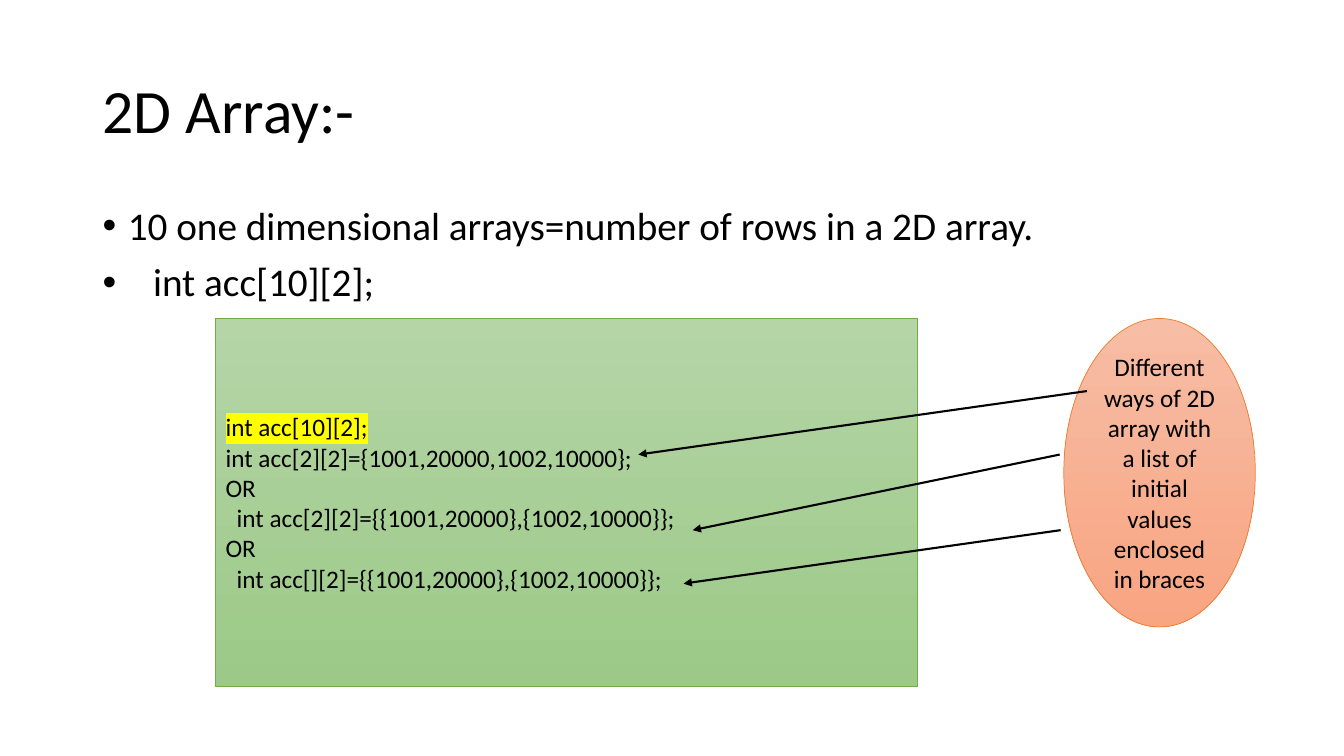
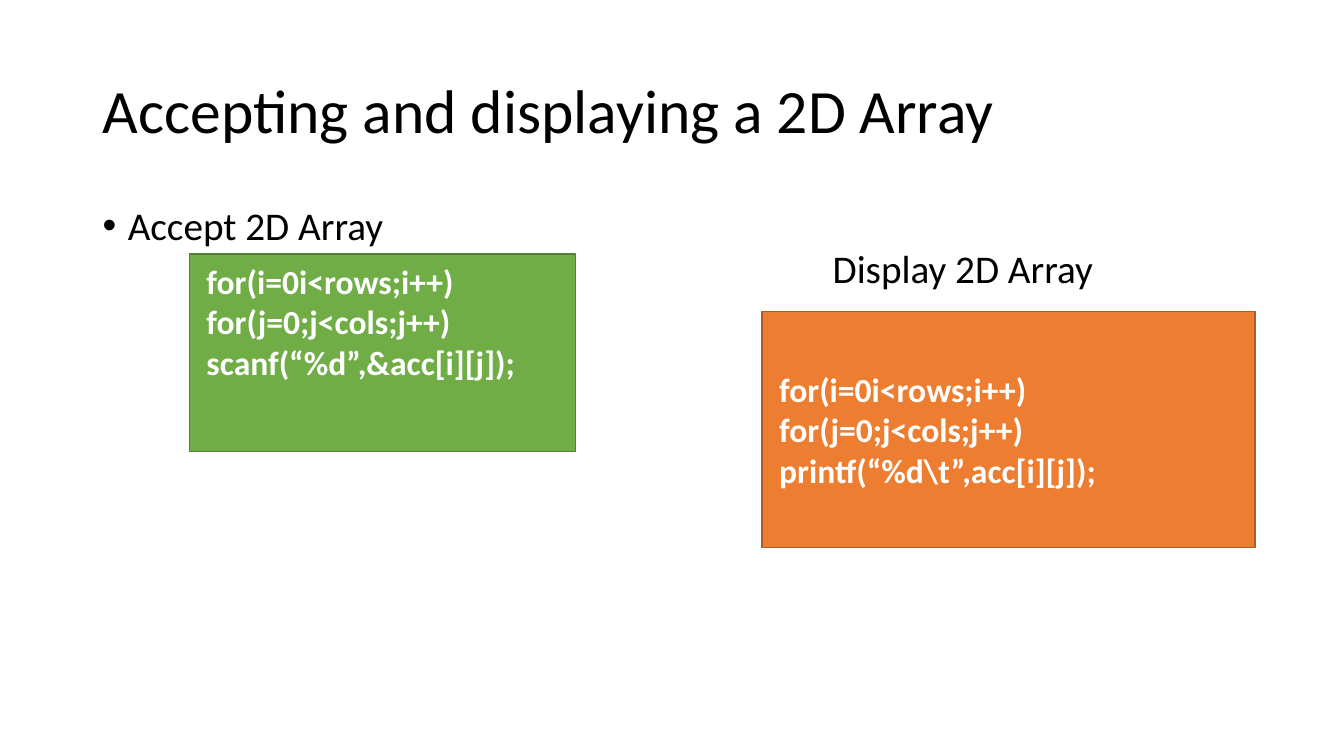
from dataclasses import dataclass

from lxml import etree
from pptx import Presentation
from pptx.dml.color import RGBColor
from pptx.enum import shapes, text
from pptx.oxml.ns import qn
from pptx.shapes.autoshape import Shape
from pptx.slide import Slide
from pptx.util import Emu, Inches, Pt


@dataclass(frozen=True)
class Theme:
    font: str = "Calibri"
    black: str = "000000"
    white: str = "FFFFFF"
    green: str = "70AD47"
    green_edge: str = "538035"
    green_fade: tuple[str, ...] = ("B5D5A7", "9CC987")
    orange: str = "ED7D31"
    orange_edge: str = "AF5C24"
    orange_fade: tuple[str, ...] = ("F7BDA5", "F8A582")
    highlight: str = "FFFF00"
    title: int = 44
    body: int = 28
    code: int = 24
    note: int = 18


@dataclass(frozen=True)
class Area:
    """Left, top, width and height in percent of the slide."""
    x: float
    y: float
    w: float
    h: float


@dataclass(frozen=True)
class Line:
    text: str
    indent: float = 0
    bullet: bool = False
    marked: bool = False


@dataclass(frozen=True)
class Style:
    size: int
    color: str = "000000"
    bold: bool = False
    align: text.PP_ALIGN = text.PP_ALIGN.LEFT
    spacing: float = 1
    before: int = 0


@dataclass(frozen=True)
class Panel:
    kind: shapes.MSO_SHAPE
    area: Area
    fill: tuple[str, ...]
    edge: str
    edge_width: float
    lines: tuple[Line, ...]
    style: Style
    anchor: text.MSO_ANCHOR = text.MSO_ANCHOR.MIDDLE
    top_inset: float = 0.05


@dataclass(frozen=True)
class Arrow:
    x1: float
    y1: float
    x2: float
    y2: float


T = Theme()
WIDTH, HEIGHT = Inches(13.33), Inches(7.5)
TITLE = Area(6.9, 5.33, 86.2, 19.33)
BODY = Area(6.9, 26.67, 86.2, 63.5)
HANG = 0.25
CODE_INDENT = 0.07
NOTE_INDENT = 0.11

TITLE_STYLE = Style(T.title, spacing=0.9)
BULLETS = Style(T.body, spacing=0.9, before=10)
LABEL = Style(T.body)
NOTE = Style(T.note)
CALLOUT = Style(T.note, align=text.PP_ALIGN.CENTER)
CODE = Style(T.code, T.white, bold=True)

INITIALISERS = Panel(
    shapes.MSO_SHAPE.RECTANGLE, Area(16.05, 42.13, 52.2, 48.67), T.green_fade, T.green, 0.5,
    (
        Line("int acc[10][2];", marked=True),
        Line("int acc[2][2]={1001,20000,1002,10000};"),
        Line("OR"),
        Line("int acc[2][2]={{1001,20000},{1002,10000}};", NOTE_INDENT),
        Line("OR"),
        Line("int acc[][2]={{1001,20000},{1002,10000}};", NOTE_INDENT),
    ), NOTE)
EXPLANATION = Panel(
    shapes.MSO_SHAPE.OVAL, Area(79.15, 42.13, 14.25, 40.8), T.orange_fade, T.orange, 0.5,
    (Line("Different ways of 2D array with a list of initial values enclosed in braces"),),
    CALLOUT)
ARROWS = (
    Arrow(80.87, 51.73, 47.49, 60.13),
    Arrow(78.85, 60.13, 51.54, 70.13),
    Arrow(78.92, 70.13, 50.86, 77.2),
)


def loop_lines(statement: str) -> tuple[Line, ...]:
    rows = ("for(i=0i<rows;i++)", "for(j=0;j<cols;j++)", statement)
    return tuple(Line(row, CODE_INDENT) for row in rows)


ACCEPT = Panel(
    shapes.MSO_SHAPE.RECTANGLE, Area(14.1, 33.6, 28.73, 26.13), (T.green,), T.green_edge, 1,
    loop_lines("scanf(“%d”,&acc[i][j]);"), CODE, text.MSO_ANCHOR.TOP, 0.07)
DISPLAY = Panel(
    shapes.MSO_SHAPE.RECTANGLE, Area(56.71, 41.2, 36.68, 31.2), (T.orange,), T.orange_edge, 1,
    loop_lines("printf(“%d\\t”,acc[i][j]);"), CODE)


def rgb(value: str) -> RGBColor:
    return RGBColor.from_string(value)


def across(share: float) -> Emu:
    return Emu(round(WIDTH * share / 100))


def down(share: float) -> Emu:
    return Emu(round(HEIGHT * share / 100))


def box(area: Area) -> tuple[Emu, Emu, Emu, Emu]:
    return across(area.x), down(area.y), across(area.w), down(area.h)


def highlight(r, color: str) -> None:
    mark = etree.Element(qn("a:highlight"))
    etree.SubElement(mark, qn("a:srgbClr"), val=color)
    r.font.fill._xPr.find(qn("a:solidFill")).addnext(mark)


def write(sp: Shape, lines: tuple[Line, ...], style: Style) -> None:
    tf = sp.text_frame
    tf.word_wrap = True
    tf.auto_size = text.MSO_AUTO_SIZE.NONE
    for i, line in enumerate(lines):
        p = tf.add_paragraph() if i else tf.paragraphs[0]
        p.alignment = style.align
        p.line_spacing = style.spacing
        p.space_before = Pt(style.before)
        props = p._p.get_or_add_pPr()
        props.set("marL", str(Inches(line.indent)))
        props.set("indent", str(-Inches(line.indent) if line.bullet else 0))
        if line.bullet:
            etree.SubElement(props, qn("a:buFont"), typeface="Arial")
            etree.SubElement(props, qn("a:buChar"), char="•")
        r = p.add_run()
        r.text = line.text
        r.font.name = T.font
        r.font.size = Pt(style.size)
        r.font.bold = style.bold
        r.font.color.rgb = rgb(style.color)
        if line.marked:
            highlight(r, T.highlight)


def add_text(s: Slide, area: Area, lines: tuple[Line, ...], style: Style) -> None:
    write(s.shapes.add_textbox(*box(area)), lines, style)


def add_panel(s: Slide, panel: Panel) -> None:
    sp = s.shapes.add_shape(panel.kind, *box(panel.area))
    sp.shadow.inherit = False
    if len(panel.fill) == 1:
        sp.fill.solid()
        sp.fill.fore_color.rgb = rgb(panel.fill[0])
    else:
        sp.fill.gradient()
        sp.fill.gradient_angle = 270
        for stop, color in zip(sp.fill.gradient_stops, panel.fill):
            stop.color.rgb = rgb(color)
    sp.line.color.rgb = rgb(panel.edge)
    sp.line.width = Pt(panel.edge_width)
    sp.text_frame.vertical_anchor = panel.anchor
    sp.text_frame.margin_top = Inches(panel.top_inset)
    write(sp, panel.lines, panel.style)


def add_arrow(s: Slide, arrow: Arrow) -> None:
    line = s.shapes.add_connector(
        shapes.MSO_CONNECTOR.STRAIGHT,
        across(arrow.x1), down(arrow.y1), across(arrow.x2), down(arrow.y2))
    line.line.color.rgb = rgb(T.black)
    line.line.width = Pt(1.5)
    etree.SubElement(line.line._get_or_add_ln(), qn("a:tailEnd"), type="triangle")
    etree.SubElement(line._element.spPr, qn("a:effectLst"))


def add_slide(prs, title: str, bullets: tuple[Line, ...]) -> Slide:
    s = prs.slides.add_slide(prs.slide_layouts[5])
    sp = s.shapes.title
    sp.left, sp.top, sp.width, sp.height = box(TITLE)
    sp.text_frame.vertical_anchor = text.MSO_ANCHOR.MIDDLE
    write(sp, (Line(title),), TITLE_STYLE)
    add_text(s, BODY, bullets, BULLETS)
    return s


def main() -> None:
    prs = Presentation()
    prs.slide_width, prs.slide_height = WIDTH, HEIGHT

    s = add_slide(prs, "2D Array:-", (
        Line("10 one dimensional arrays=number of rows in a 2D array.", HANG, bullet=True),
        Line("int acc[10][2];", 2 * HANG, bullet=True),
    ))
    for panel in (INITIALISERS, EXPLANATION):
        add_panel(s, panel)
    for arrow in ARROWS:
        add_arrow(s, arrow)

    s = add_slide(prs, "Accepting and displaying a 2D Array", (
        Line("Accept 2D Array", HANG, bullet=True),
    ))
    for panel in (ACCEPT, DISPLAY):
        add_panel(s, panel)
    add_text(s, Area(61.22, 31.6, 27.83, 7.6), (Line("Display 2D Array"),), LABEL)

    prs.save("out.pptx")


if __name__ == "__main__":
    main()
